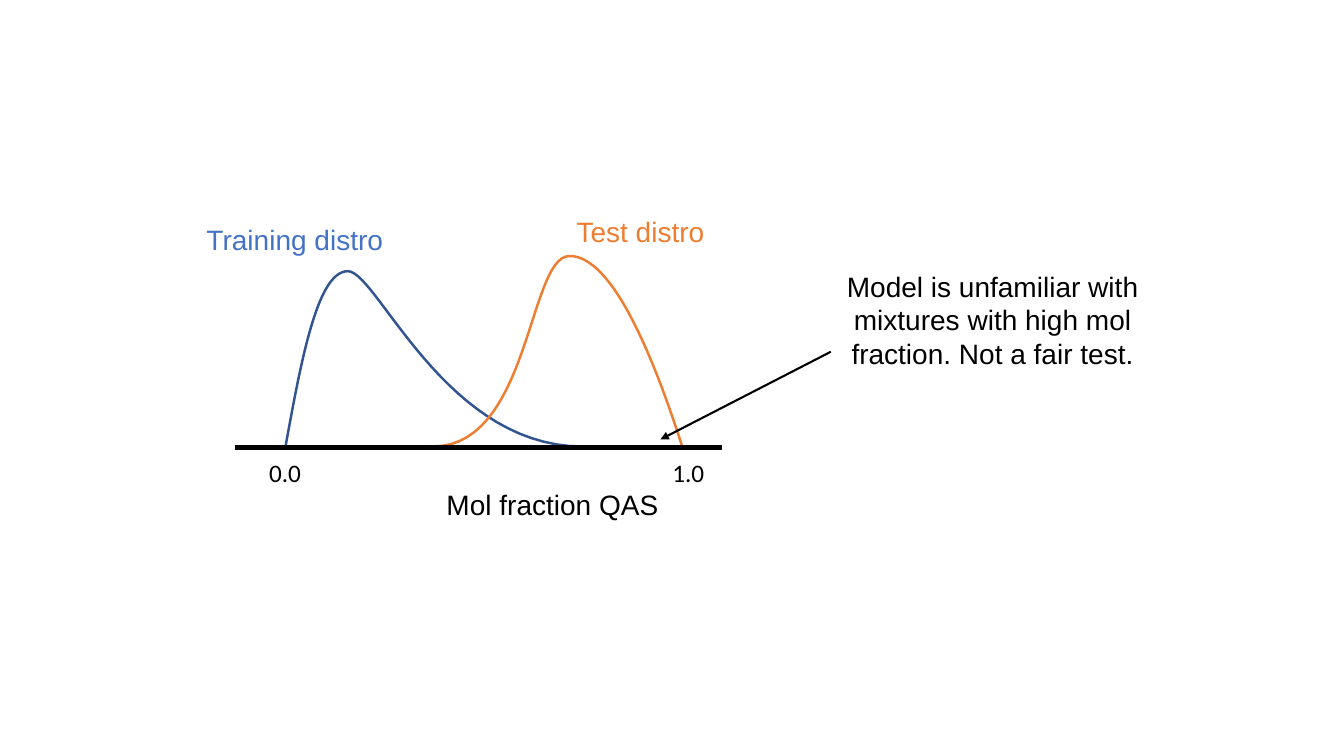
import pptx
import pptx.util
import pptx.dml.color
import pptx.enum.shapes
import pptx.enum.text
import pptx.oxml
import pptx.oxml.ns
from pptx.util import Inches

COLORS = {"black": "000000", "blue": "4472C4", "navy": "325491", "orange": "ED7D31"}
STEPS = 30  # segments per Bezier piece

deck = pptx.Presentation()
deck.slide_width = Inches(13.33)
deck.slide_height = Inches(7.5)
slide = deck.slides.add_slide(deck.slide_layouts[6])
shapes = slide.shapes


def rgb(name):
    return pptx.dml.color.RGBColor.from_string(COLORS[name])


def add_line(start, end, width):
    line = shapes.add_connector(
        pptx.enum.shapes.MSO_CONNECTOR.STRAIGHT,
        Inches(start[0]), Inches(start[1]), Inches(end[0]), Inches(end[1]))
    line.line.color.rgb = rgb("black")
    line.line.width = pptx.util.Pt(width)
    props = line._element.spPr
    props.append(props.makeelement(pptx.oxml.ns.qn("a:effectLst"), {}))
    return line


# Distribution curves: a start point, then cubic pieces (two controls, end)
curves = [
    ("navy", (2.83, 4.44), [
        ((2.99, 3.56), (3.15, 2.69), (3.45, 2.69)),
        ((3.74, 2.69), (4.41, 4.43), (5.78, 4.43))]),
    ("orange", (4.3, 4.43), [
        ((5.26, 4.42), (5.24, 2.54), (5.65, 2.54)),
        ((6.06, 2.54), (6.46, 3.47), (6.77, 4.44))]),
]
for color, start, pieces in curves:
    points = [start]
    for c1, c2, end in pieces:
        p0 = points[-1]
        for step in range(1, STEPS + 1):
            t = step / STEPS
            u = 1 - t
            points.append(tuple(
                u**3 * a + 3 * u**2 * t * b + 3 * u * t**2 * c + t**3 * d
                for a, b, c, d in zip(p0, c1, c2, end)))
    dots = [(Inches(x), Inches(y)) for x, y in points]
    path = shapes.build_freeform(*dots[0])
    path.add_line_segments(dots[1:], close=False)
    curve = path.convert_to_shape()
    curve.shadow.inherit = False
    curve.fill.background()
    curve.line.color.rgb = rgb(color)
    curve.line.width = pptx.util.Pt(1.75)

# Axis and arrow
add_line((2.33, 4.44), (7.16, 4.44), 3.75)
arrow = add_line((8.24, 3.49), (6.55, 4.36), 1.5)
stroke = arrow.line._get_or_add_ln()
stroke.append(stroke.makeelement(pptx.oxml.ns.qn("a:tailEnd"), {"type": "triangle"}))

# Labels: text, box, font, size, color, wrap
labels = [
    ("Mol fraction QAS", (4.33, 4.79, 2.32, 0.44), "Arial", 20, "black", False),
    ("0.0", (2.57, 4.49, 0.52, 0.4), "Calibri", 18, "black", False),
    ("1.0", (6.57, 4.49, 0.52, 0.4), "Calibri", 18, "black", False),
    ("Training distro", (1.95, 2.16, 1.97, 0.44), "Arial", 20, "blue", False),
    ("Test distro", (5.62, 2.08, 1.48, 0.44), "Arial", 20, "orange", False),
    ("Model is unfamiliar with mixtures with high mol fraction. Not a fair test.",
     (8.17, 2.62, 3.35, 1.11), "Arial", 20, "black", True),
]
for text, box, font, size, color, wrap in labels:
    frame = shapes.add_textbox(*map(Inches, box)).text_frame
    frame.word_wrap = wrap
    frame.auto_size = pptx.enum.text.MSO_AUTO_SIZE.SHAPE_TO_FIT_TEXT
    para = frame.paragraphs[0]
    para.text = text
    if wrap:
        para.alignment = pptx.enum.text.PP_ALIGN.CENTER
    para.font.name = font
    para.font.size = pptx.util.Pt(size)
    para.font.color.rgb = rgb(color)

deck.save("out.pptx")
